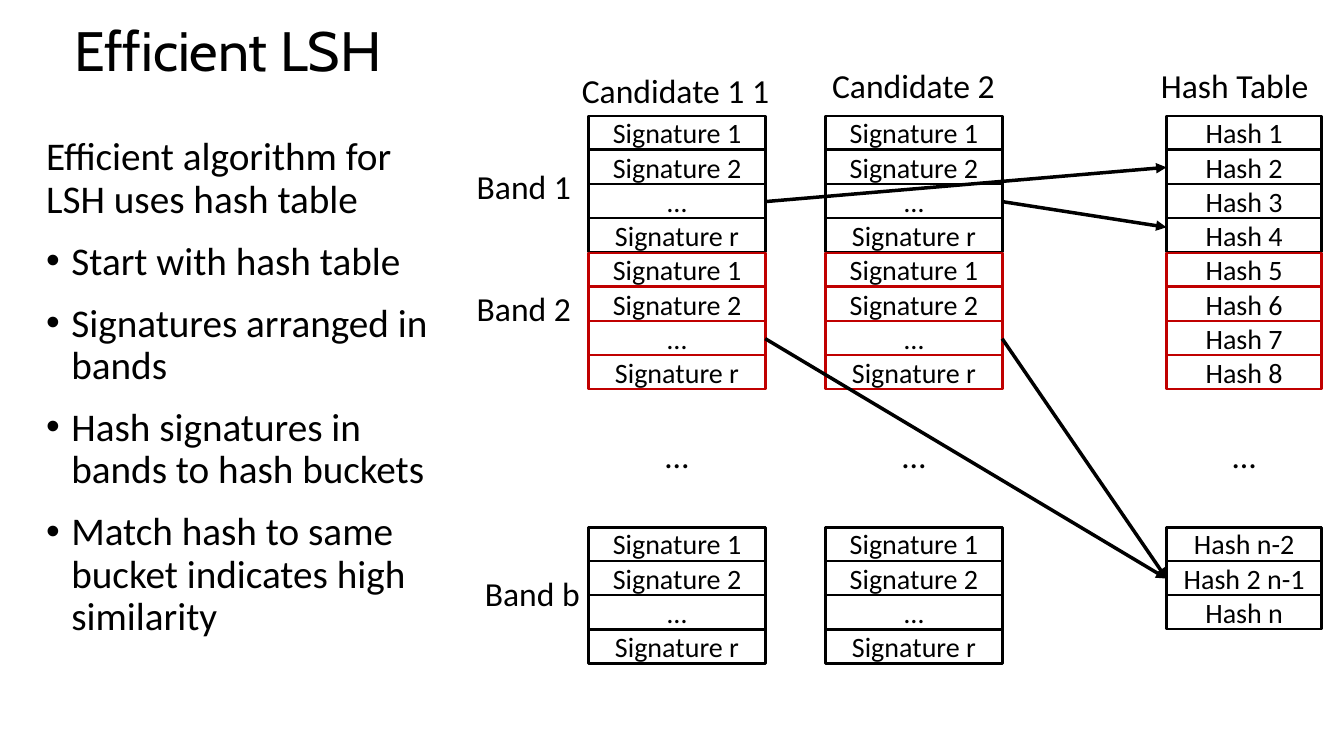
from dataclasses import dataclass

from lxml.etree import SubElement
from pptx import Presentation
from pptx.dml.color import RGBColor
from pptx.enum.shapes import MSO_CONNECTOR as Connector, MSO_SHAPE as Shape
from pptx.enum.text import MSO_ANCHOR as Anchor, MSO_AUTO_SIZE as AutoSize, PP_ALIGN as Align
from pptx.oxml.ns import qn
from pptx.util import Emu, Inches, Pt

BLACK, RED = "000000", "C00000"
GRID_TOP, ROW, CELL_HEIGHT = 1.15, 0.34, 0.33
SIGNATURES = ("Signature 1", "Signature 2", "…", "Signature r")
ELLIPSIS_ROW, ELLIPSIS_ROWS = 7.9, 4


@dataclass(frozen=True)
class Band:
    row: int
    color: str
    cells: tuple[str, ...]


@dataclass(frozen=True)
class Column:
    left: float
    width: float
    bands: tuple[Band, ...]

    @property
    def right(self) -> float:
        return self.left + self.width


@dataclass(frozen=True)
class Label:
    text: str
    left: float
    row: float
    width: float
    align: Align
    inset: float


@dataclass(frozen=True)
class Arrow:
    source: Column
    source_row: float
    target: Column
    target_row: float


SIGNATURE_BANDS = (
    Band(0, BLACK, SIGNATURES),
    Band(4, RED, SIGNATURES),
    Band(12, BLACK, SIGNATURES),
)
HASH_BANDS = (
    Band(0, BLACK, ("Hash 1", "Hash 2", "Hash 3", "Hash 4")),
    Band(4, RED, ("Hash 5", "Hash 6", "Hash 7", "Hash 8")),
    Band(12, BLACK, ("Hash n-2", "Hash 2 n-1", "Hash n")),
)
CANDIDATE_1 = Column(5.84, 1.75, SIGNATURE_BANDS)
CANDIDATE_2 = Column(8.19, 1.75, SIGNATURE_BANDS)
HASH_TABLE = Column(11.57, 1.54, HASH_BANDS)
COLUMNS = (CANDIDATE_1, CANDIDATE_2, HASH_TABLE)

LABELS = (
    Label("Candidate 1 1", 5.67, -1.5, 2.06, Align.CENTER, 0),
    Label("Candidate 2", 8.03, -1.62, 2.06, Align.CENTER, 0),
    Label("Hash Table", 11.37, -1.62, 1.75, Align.CENTER, 0),
    Label("Band 1", 4.63, 1.32, 1.32, Align.LEFT, 0.1),
    Label("Band 2", 4.63, 4.88, 1.32, Align.LEFT, 0.1),
    Label("Band b", 4.71, 13.18, 1.32, Align.LEFT, 0.1),
)
ARROWS = (
    Arrow(CANDIDATE_1, 2.5, HASH_TABLE, 1.5),
    Arrow(CANDIDATE_2, 2.5, HASH_TABLE, 3.25),
    Arrow(CANDIDATE_1, 6.5, HASH_TABLE, 13.5),
    Arrow(CANDIDATE_2, 6.5, HASH_TABLE, 13.5),
)
INTRO = "Efficient algorithm for LSH uses hash table"
BULLETS = (
    "Start with hash table",
    "Signatures arranged in bands",
    "Hash signatures in bands to hash buckets",
    "Match hash to same bucket indicates high similarity",
)


def rgb(color: str) -> RGBColor:
    return RGBColor.from_string(color)


def row_y(row: float) -> Emu:
    return Inches(GRID_TOP + row * ROW)


def style(p, size: float, align: Align = Align.LEFT, font: str = "Calibri") -> None:
    p.alignment = align
    for r in p.runs:
        r.font.size = Pt(size)
        r.font.name = font
        r.font.color.rgb = rgb(BLACK)


def add_title(s) -> None:
    sp = s.shapes.title
    sp.left, sp.top, sp.width, sp.height = map(Inches, (0.64, 0.24, 3.99, 0.58))
    tf = sp.text_frame
    tf.text = "Efficient LSH"
    tf.auto_size = AutoSize.NONE
    tf.vertical_anchor = Anchor.MIDDLE
    tf.paragraphs[0].line_spacing = 0.9
    style(tf.paragraphs[0], 39.6, font="Cabin")


def add_body(s) -> None:
    sp = s.shapes.add_textbox(*map(Inches, (0.36, 1.31, 4.16, 6.07)))
    tf = sp.text_frame
    tf.word_wrap = True
    tf.text = "\n".join((INTRO, *BULLETS))
    for p in tf.paragraphs:
        p.line_spacing = 0.9
        p.space_before = Pt(14)
        style(p, 28)
    for p in tf.paragraphs[1:]:
        pPr = p._p.get_or_add_pPr()
        pPr.set("marL", str(Inches(0.25)))
        pPr.set("indent", str(-Inches(0.25)))
        SubElement(pPr, qn("a:buFont")).set("typeface", "Arial")
        SubElement(pPr, qn("a:buChar")).set("char", "•")


def add_box(s, column: Column, row: float, height: float, color: str, weight: float, text: str = "") -> None:
    sp = s.shapes.add_shape(
        Shape.RECTANGLE, Inches(column.left), row_y(row), Inches(column.width), Inches(height)
    )
    sp.shadow.inherit = False
    sp.fill.background()
    sp.line.color.rgb = rgb(color)
    sp.line.width = Pt(weight)
    if text:
        tf = sp.text_frame
        tf.text = text
        tf.vertical_anchor = Anchor.MIDDLE
        style(tf.paragraphs[0], 20, Align.CENTER)


def add_text(s, label: Label, height: float, anchor: Anchor = Anchor.TOP) -> None:
    sp = s.shapes.add_textbox(Inches(label.left), row_y(label.row), Inches(label.width), Inches(height))
    tf = sp.text_frame
    tf.word_wrap = True
    tf.margin_left = tf.margin_right = Inches(label.inset)
    tf.vertical_anchor = anchor
    tf.text = label.text
    style(tf.paragraphs[0], 24, label.align)


def add_column(s, column: Column) -> None:
    for band in column.bands:
        add_box(s, column, band.row, len(band.cells) * ROW - 0.01, band.color, 2)
        for i, text in enumerate(band.cells):
            add_box(s, column, band.row + i, CELL_HEIGHT, band.color, 1, text)
    ellipsis = Label("…", column.left, ELLIPSIS_ROW, column.width, Align.CENTER, 0.1)
    add_text(s, ellipsis, ELLIPSIS_ROWS * ROW, Anchor.MIDDLE)


def add_arrow(s, arrow: Arrow) -> None:
    sp = s.shapes.add_connector(
        Connector.STRAIGHT,
        Inches(arrow.source.right), row_y(arrow.source_row),
        Inches(arrow.target.left), row_y(arrow.target_row),
    )
    sp.line.color.rgb = rgb(BLACK)
    sp.line.width = Pt(2.5)
    SubElement(sp.line._get_or_add_ln(), qn("a:tailEnd")).set("type", "triangle")
    SubElement(sp._element.spPr, qn("a:effectLst"))


def main() -> None:
    prs = Presentation()
    prs.slide_width, prs.slide_height = Inches(13.33), Inches(7.5)
    s = prs.slides.add_slide(prs.slide_layouts[5])
    add_title(s)
    add_body(s)
    for column in COLUMNS:
        add_column(s, column)
    for label in LABELS:
        add_text(s, label, 0.5)
    for arrow in ARROWS:
        add_arrow(s, arrow)
    prs.save("out.pptx")


if __name__ == "__main__":
    main()
